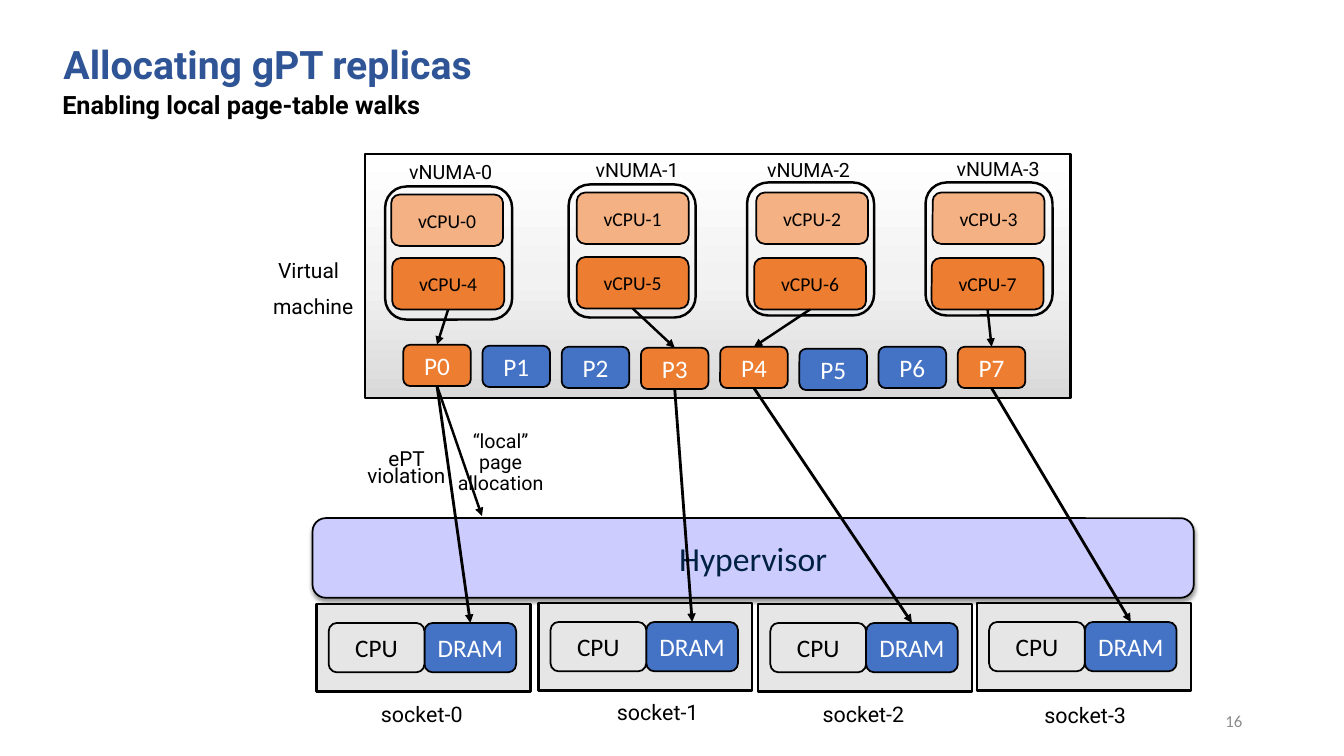
import copy

import pptx
import pptx.dml.color
import pptx.enum.shapes
import pptx.enum.text
import pptx.oxml
import pptx.oxml.ns
import pptx.util

Inches, Pt = pptx.util.Inches, pptx.util.Pt
RGB = pptx.dml.color.RGBColor.from_string
SHAPE = pptx.enum.shapes.MSO_SHAPE
ALIGN = pptx.enum.text.PP_ALIGN
ANCHOR = pptx.enum.text.MSO_ANCHOR
qn = pptx.oxml.ns.qn
NS = pptx.oxml.ns.nsdecls("a")

COLORS = {
    "black": "000000", "white": "FFFFFF", "title": "2F5597", "number": "8C8C8C",
    "hypervisor": "CCCCFF", "hypervisor text": "002142", "grey": "E7E6E6",
    "vcpu": "F4B183", "active": "ED7D31", "blue": "4472C4",
}

prs = pptx.Presentation()
prs.slide_width, prs.slide_height = Inches(13.33), Inches(7.5)
slide = prs.slides.add_slide(prs.slide_layouts[6])


def add_box(x, y, w, h, fill=None, text="", size=18, color="black", line=1.25,
            kind=SHAPE.ROUNDED_RECTANGLE):
    """Draw an outlined box with centred text; no fill if none is named."""
    box = slide.shapes.add_shape(kind, Inches(x), Inches(y), Inches(w), Inches(h))
    box.shadow.inherit = False
    if fill:
        box.fill.solid()
        box.fill.fore_color.rgb = RGB(COLORS[fill])
    else:
        box.fill.background()
    box.line.color.rgb = RGB(COLORS["black"])
    box.line.width = Pt(line)
    if text:
        box.text_frame.text = text
        box.text_frame.vertical_anchor = ANCHOR.MIDDLE
        paragraph = box.text_frame.paragraphs[0]
        paragraph.alignment = ALIGN.CENTER
        font = paragraph.runs[0].font
        font.name, font.size, font.color.rgb = "Calibri", Pt(size), RGB(COLORS[color])
    return box


def add_label(x, y, w, h, text, size, align=ALIGN.LEFT, spacing=0.9, color="black",
              bold=False, face="Roboto"):
    """Add a text box, one paragraph per line of text, and return its frame."""
    frame = slide.shapes.add_textbox(Inches(x), Inches(y), Inches(w), Inches(h)).text_frame
    frame.word_wrap = True
    frame.text = text
    for i, paragraph in enumerate(frame.paragraphs):
        paragraph.alignment = align
        paragraph.line_spacing = spacing
        if i:
            paragraph.space_before = Pt(10)
        font = paragraph.runs[0].font
        font.name, font.size, font.bold = face, Pt(size), bold
        font.color.rgb = RGB(COLORS[color])
    return frame


# Headings
title = add_label(0.63, 0.45, 12.03, 0.42, "Allocating gPT replicas", 28,
                  color="title", bold=True)
title.margin_left = title.margin_right = title.margin_top = title.margin_bottom = 0
title.word_wrap = False
title.vertical_anchor = ANCHOR.BOTTOM
add_label(0.52, 0.87, 8.74, 0.5, "Enabling local page-table walks", 18, bold=True)
number = add_label(9.42, 6.95, 3, 0.4, "16", 12, ALIGN.RIGHT, 1.0, "number", face="Calibri")
number.vertical_anchor = ANCHOR.MIDDLE

# Hypervisor with a soft shadow
hypervisor = add_box(3.1, 5.14, 8.74, 0.79, "hypervisor", "Hypervisor", 24, "hypervisor text")
hypervisor.text_frame.paragraphs[0].space_after = Pt(6)
hypervisor._element.spPr.find(qn("a:effectLst")).append(pptx.oxml.parse_xml(
    f'<a:outerShdw {NS} blurRad="{Pt(3.1)}" dist="{Pt(1.6)}" dir="5400000" rotWithShape="0">'
    '<a:srgbClr val="000000"><a:alpha val="38000"/></a:srgbClr></a:outerShdw>'))

# Virtual machine, shaded from grey at the bottom to white at the top
machine = add_box(3.62, 1.53, 7, 2.42, line=1.75, kind=SHAPE.RECTANGLE)
machine.fill.gradient()
machine.fill.gradient_angle = 90
stops = machine._element.spPr.find(qn("a:gradFill")).find(qn("a:gsLst"))
stops.insert(1, copy.deepcopy(stops[0]))
shades = [(0, "D9D9D9"), (0.48, "F2F2F2"), (1, "FFFFFF")]
for stop, (position, shade) in zip(machine.fill.gradient_stops, shades):
    stop.position = position
    stop.color.rgb = RGB(shade)
machine_label = add_label(2.61, 2.53, 1.34, 1.03, "Virtual\nmachine", 15)
machine_label.paragraphs[0]._p.get_or_add_pPr().set("indent", str(Inches(0.05)))

# vNUMA nodes: outline (x, y), label (x, y), upper vCPU (x, y), lower vCPU (x, y)
nodes = [
    ((3.82, 1.85), (3.83, 1.56), (3.88, 1.93), (3.89, 2.56)),
    ((5.64, 1.83), (5.68, 1.54), (5.72, 1.91), (5.72, 2.55)),
    ((7.41, 1.81), (7.38, 1.54), (7.5, 1.91), (7.48, 2.56)),
    ((9.18, 1.81), (9.26, 1.53), (9.25, 1.91), (9.24, 2.56)),
]
active_vcpus = []
for i, (outline, label, upper, lower) in enumerate(nodes):
    add_box(*upper, 1.11, 0.51, "vcpu", f"vCPU-{i}", 14)
    add_box(*outline, 1.26, 1.32, line=1.75)
    add_label(*label, 1.28, 0.55, f"vNUMA-{i}", 14, ALIGN.CENTER)
    active_vcpus.append(add_box(*lower, 1.11, 0.51, "active", f"vCPU-{i + 4}", 14))

# Guest pages; the orange ones hold the replicas
replica_pages = []
page_tops = [3.42, 3.43, 3.44, 3.45, 3.44, 3.46, 3.44, 3.44]
for i, top in enumerate(page_tops):
    is_replica = i in (0, 3, 4, 7)
    page = add_box(4 + i * 5.5 / 7, top, 0.67, 0.41, "active" if is_replica else "blue",
                   f"P{i}", color="white")
    if is_replica:
        replica_pages.append(page)

# Sockets: (x, y) of the box, (x, y) of the label
sockets = [
    ((3.14, 5.99), (3.68, 6.98)),
    ((5.34, 5.98), (6.02, 6.96)),
    ((7.52, 5.99), (8.06, 6.98)),
    ((9.69, 5.98), (10.26, 6.99)),
]
drams = []
for i, ((x, y), label) in enumerate(sockets):
    add_box(x, y, 2.12, 0.87, "grey", line=1.75, kind=SHAPE.RECTANGLE)
    drams.append(add_box(x + 1.07, y + 0.19, 0.91, 0.49, "blue", "DRAM", color="white"))
    add_box(x + 0.12, y + 0.19, 0.95, 0.49, "grey", "CPU")
    add_label(*label, 1.14, 0.28, f"socket-{i}", 15.3, spacing=0.7)

# Arrows: vCPU to page, page to DRAM, and P0 down to the hypervisor
arrows = [(vcpu, page, 1.75) for vcpu, page in zip(active_vcpus, replica_pages)]
arrows += [(page, dram, 2) for page, dram in zip(replica_pages, drams)]
arrows.append((replica_pages[0], None, 1.75))
for source, target, width in arrows:
    arrow = slide.shapes.add_connector(pptx.enum.shapes.MSO_CONNECTOR.STRAIGHT,
                                       Inches(4.34), Inches(3.84), Inches(4.78), Inches(5.12))
    arrow.begin_connect(source, 2)
    if target:
        arrow.end_connect(target, 0)
    arrow.line.color.rgb = RGB(COLORS["black"])
    arrow.line.width = Pt(width)
    arrow.line._ln.append(pptx.oxml.parse_xml(f'<a:tailEnd {NS} type="triangle"/>'))
    arrow._element.spPr.append(pptx.oxml.parse_xml(f"<a:effectLst {NS}/>"))

add_label(3.38, 4.44, 1.3, 0.48, "ePT violation", 14.8, ALIGN.CENTER, 0.7)
add_label(4.37, 4.23, 1.19, 1.15, "“local” page allocation", 14, ALIGN.CENTER)

prs.save("out.pptx")
